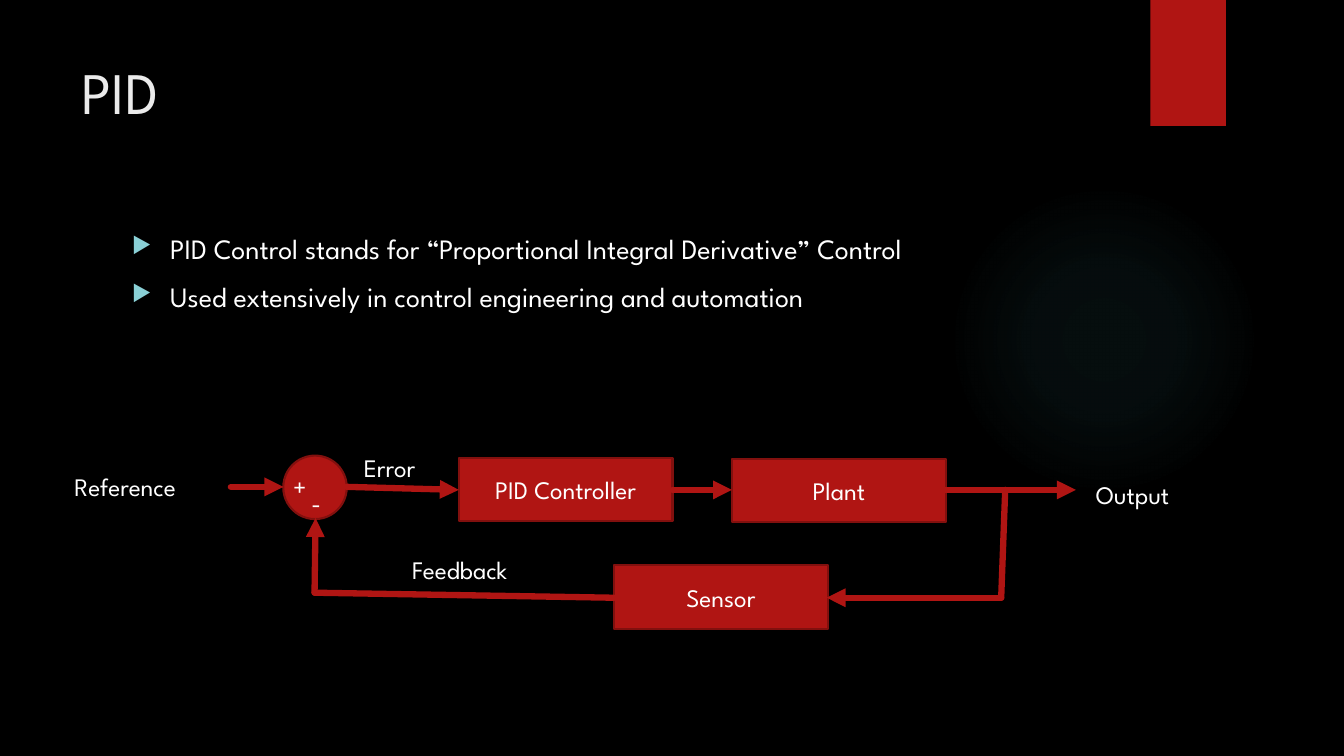
from dataclasses import dataclass

from lxml import etree
from pptx import Presentation
from pptx.dml.color import RGBColor
from pptx.enum.shapes import MSO_CONNECTOR, MSO_SHAPE
from pptx.enum.text import MSO_ANCHOR, MSO_AUTO_SIZE, PP_ALIGN
from pptx.oxml.ns import qn
from pptx.util import Inches, Pt

RECT = MSO_SHAPE.RECTANGLE
OVAL = MSO_SHAPE.OVAL
STRAIGHT = MSO_CONNECTOR.STRAIGHT
MIDDLE = MSO_ANCHOR.MIDDLE
CENTER = PP_ALIGN.CENTER
GROW = MSO_AUTO_SIZE.SHAPE_TO_FIT_TEXT

FONT = "League Spartan"
BLACK = RGBColor(0x00, 0x00, 0x00)
WHITE = RGBColor(0xFF, 0xFF, 0xFF)
TITLE_GREY = RGBColor(0xEB, 0xEB, 0xEB)
RED = RGBColor(0xB0, 0x15, 0x13)
DARK_RED = RGBColor(0x82, 0x10, 0x0E)
TEAL = RGBColor(0x50, 0xB9, 0xC1)
LIGHT_TEAL = RGBColor(0x8A, 0xD0, 0xD6)

BLOCK_W, BLOCK_H = 2.12, 0.63
LABEL_H = 0.4
FORWARD_Y, RETURN_Y = 4.86, 5.93


@dataclass
class Block:
    text: str
    left: float
    top: float


@dataclass
class Label:
    text: str
    left: float
    top: float
    width: float = 1.48


@dataclass
class Link:
    x1: float
    y1: float
    x2: float
    y2: float
    arrow: bool = True


BULLETS = [
    "PID Control stands for “Proportional Integral Derivative” Control",
    "Used extensively in control engineering and automation",
]
BLOCKS = [
    Block("PID Controller", 4.55, 4.54),
    Block("Sensor", 6.09, 5.61),
    Block("Plant", 7.26, 4.55),
]
LINKS = [
    Link(3.44, 4.83, 4.55, FORWARD_Y),
    Link(6.67, FORWARD_Y, 7.26, FORWARD_Y),
    Link(9.38, FORWARD_Y, 10.67, FORWARD_Y),
    Link(9.97, FORWARD_Y, 9.93, RETURN_Y, arrow=False),
    Link(9.93, RETURN_Y, 8.2, RETURN_Y),
    Link(3.12, 5.88, 3.13, 5.14),
    Link(6.09, RETURN_Y, 3.12, 5.88, arrow=False),
    Link(2.29, 4.83, 2.81, 4.83),
]
LABELS = [
    Label("+", 2.81, 4.63, 0.35),
    Label("-", 2.99, 4.79, 0.35),
    Label("Reference", 0.64, 4.63),
    Label("Output", 10.77, 4.71),
    Label("Feedback", 3.99, 5.45),
    Label("Error", 3.51, 4.44, 0.75),
]


def style(p, size: float, color: RGBColor = WHITE) -> None:
    p.font.name = FONT
    p.font.size = Pt(size)
    p.font.color.rgb = color


def add_shape(s, kind, left: float, top: float, width: float, height: float):
    sp = s.shapes.add_shape(kind, Inches(left), Inches(top), Inches(width), Inches(height))
    sp.shadow.inherit = False
    sp.fill.solid()
    sp.fill.fore_color.rgb = RED
    sp.line.fill.background()
    return sp


def outline(sp) -> None:
    sp.line.color.rgb = DARK_RED
    sp.line.width = Pt(1.5)


def add_glow(s) -> None:
    sp = add_shape(s, OVAL, 9.41, 1.83, 3.08, 3.08)
    grad = etree.Element(qn("a:gradFill"), rotWithShape="1")
    stops = etree.SubElement(grad, qn("a:gsLst"))
    for pos, alpha in ((0, 7), (36, 6), (69, 0)):
        gs = etree.SubElement(stops, qn("a:gs"), pos=str(pos * 1000))
        color = etree.SubElement(gs, qn("a:srgbClr"), val=str(TEAL))
        etree.SubElement(color, qn("a:alpha"), val=str(alpha * 1000))
    circle = etree.SubElement(grad, qn("a:path"), {"path": "circle"})
    etree.SubElement(circle, qn("a:fillToRect"), dict.fromkeys("ltrb", "50000"))
    solid = sp.element.spPr.find(qn("a:solidFill"))
    sp.element.spPr.replace(solid, grad)


def add_text(s, left: float, top: float, width: float, height: float):
    sp = s.shapes.add_textbox(Inches(left), Inches(top), Inches(width), Inches(height))
    tf = sp.text_frame
    tf.word_wrap = True
    return tf


def add_bullets(s) -> None:
    tf = add_text(s, 1.21, 2.25, 9.78, 4.59)
    for i, text in enumerate(BULLETS):
        p = tf.add_paragraph() if i else tf.paragraphs[0]
        p.text = text
        p.space_before = Pt(10)
        style(p, 20)
        pPr = p._p.get_or_add_pPr()
        pPr.set("marL", str(Inches(0.38)))
        pPr.set("indent", str(-Inches(0.38)))
        color = etree.Element(qn("a:buClr"))
        etree.SubElement(color, qn("a:srgbClr"), val=str(LIGHT_TEAL))
        size = etree.Element(qn("a:buSzPct"), val="80000")
        char = etree.Element(qn("a:buChar"), char="▶")
        for item in (color, size, char):
            pPr.find(qn("a:defRPr")).addprevious(item)


def add_block(s, block: Block) -> None:
    sp = add_shape(s, RECT, block.left, block.top, BLOCK_W, BLOCK_H)
    outline(sp)
    tf = sp.text_frame
    tf.vertical_anchor = MIDDLE
    p = tf.paragraphs[0]
    p.text = block.text
    p.alignment = CENTER
    style(p, 18)


def add_link(s, link: Link) -> None:
    sp = s.shapes.add_connector(
        STRAIGHT, Inches(link.x1), Inches(link.y1), Inches(link.x2), Inches(link.y2)
    )
    sp.line.color.rgb = RED
    sp.line.width = Pt(4.5)
    ln = sp.line._get_or_add_ln()
    ln.set("cap", "rnd")
    if link.arrow:
        etree.SubElement(ln, qn("a:tailEnd"), type="triangle")
    etree.SubElement(sp.element.spPr, qn("a:effectLst"))


def add_label(s, label: Label) -> None:
    tf = add_text(s, label.left, label.top, label.width, LABEL_H)
    tf.auto_size = GROW
    p = tf.paragraphs[0]
    p.text = label.text
    style(p, 18)


def main() -> None:
    prs = Presentation()
    prs.slide_width, prs.slide_height = Inches(13.33), Inches(7.5)
    s = prs.slides.add_slide(prs.slide_layouts[6])
    s.background.fill.solid()
    s.background.fill.fore_color.rgb = BLACK

    add_glow(s)
    add_shape(s, RECT, 11.41, 0, 0.75, 1.25)
    p = add_text(s, 0.71, 0.5, 10.29, 1.53).paragraphs[0]
    p.text = "PID"
    style(p, 42, TITLE_GREY)
    add_bullets(s)

    outline(add_shape(s, OVAL, 2.81, 4.52, 0.63, 0.63))
    for block in BLOCKS:
        add_block(s, block)
    for link in LINKS:
        add_link(s, link)
    for label in LABELS:
        add_label(s, label)
    prs.save("out.pptx")


if __name__ == "__main__":
    main()
